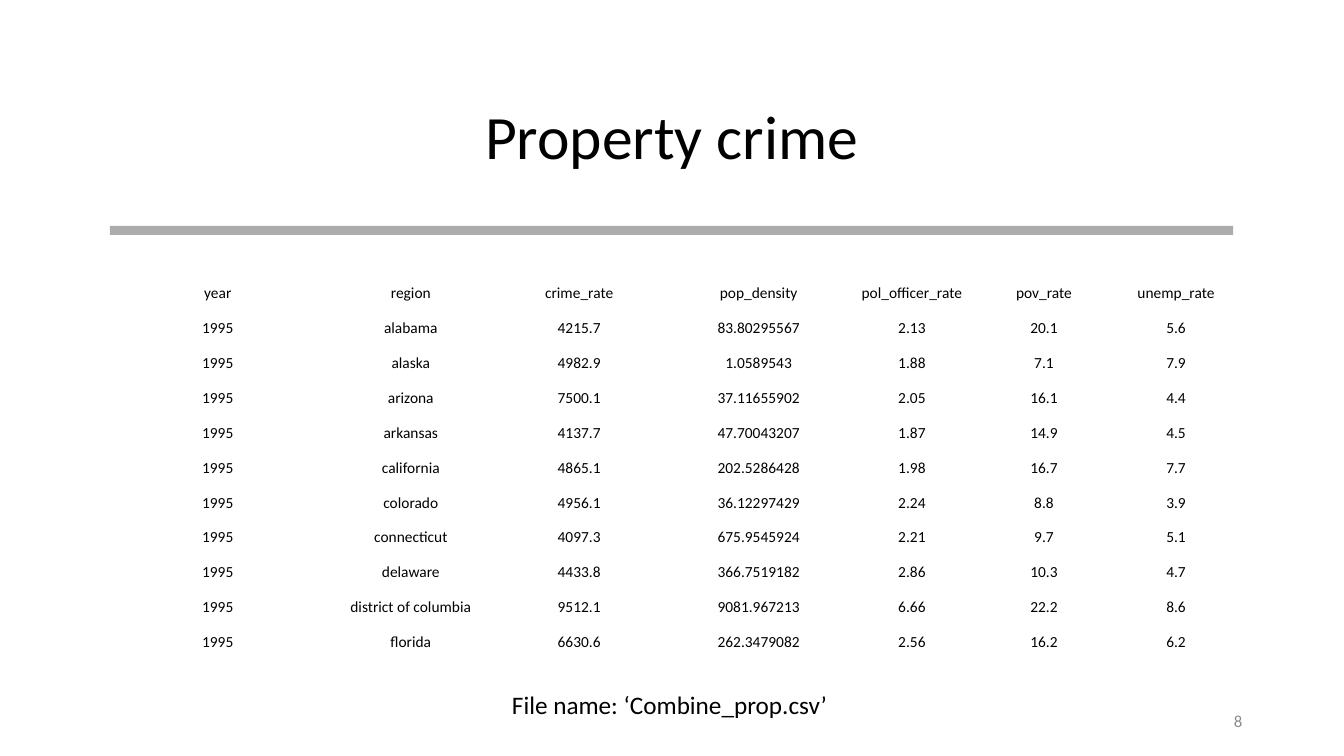
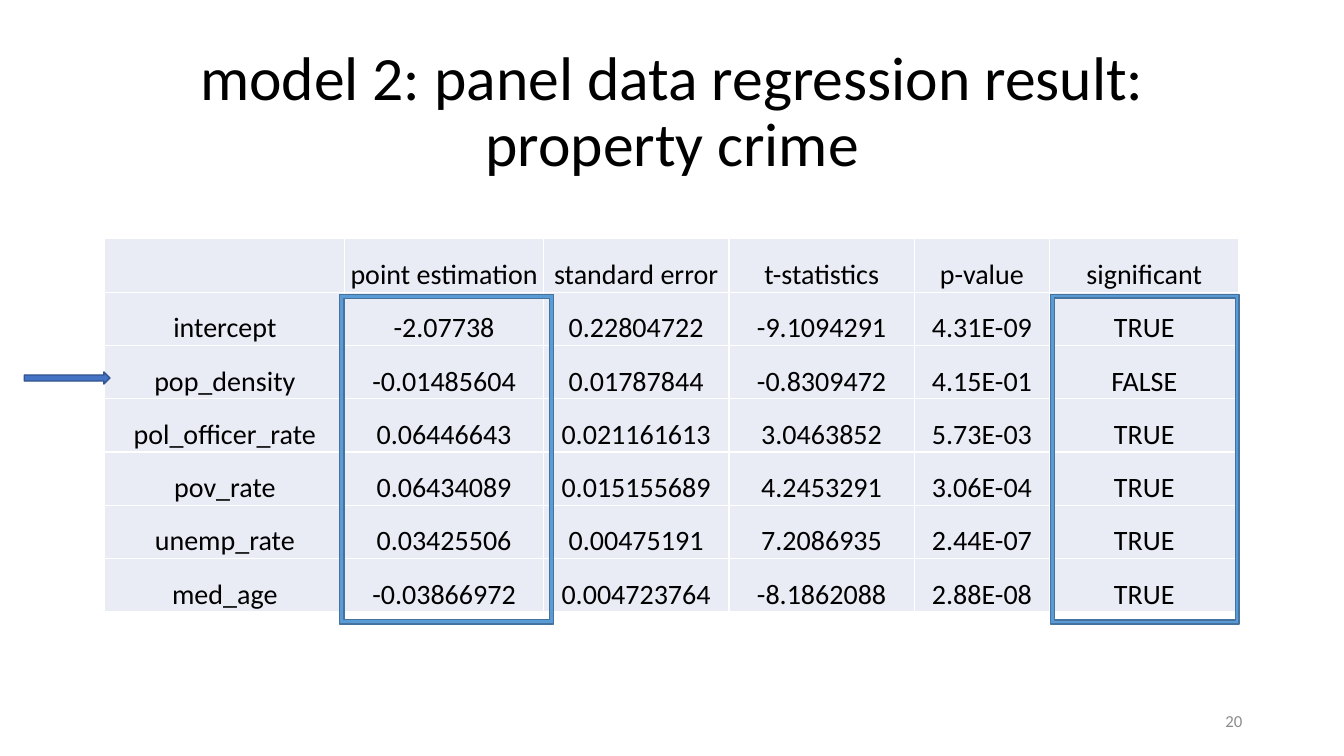
from dataclasses import dataclass
from typing import Any, NamedTuple, Optional

from lxml.etree import SubElement
from pptx import Presentation
from pptx.dml.color import RGBColor
from pptx.enum.shapes import MSO_SHAPE
from pptx.enum.text import MSO_ANCHOR, PP_ALIGN
from pptx.oxml import parse_xml
from pptx.oxml.ns import nsdecls, qn
from pptx.slide import Slide
from pptx.util import Inches, Pt


@dataclass(frozen=True)
class Theme:
    """Colours, font and type sizes shared by the slides."""
    font: str = "Calibri"
    ink: str = "000000"
    muted: str = "8C8C8C"
    paper: str = "FFFFFF"
    rule: str = "808080"
    cell: str = "E9EBF5"
    frame: str = "5B9BD5"
    frame_edge: str = "43739E"
    arrow: str = "4472C4"
    arrow_edge: str = "325491"
    title_size: int = 44
    result_size: int = 20
    caption_size: int = 18
    number_size: int = 12
    data_size: int = 11
    plain_table: str = "{2D5ABB26-0587-4C30-8999-92F81FD0307C}"


class Area(NamedTuple):
    """A rectangle in inches."""
    left: float
    top: float
    width: float
    height: float

    def lengths(self) -> list[int]:
        """Return the rectangle as slide lengths."""
        return [Inches(value) for value in self]


@dataclass(frozen=True)
class TextStyle:
    """How the text of a box or cell is set."""
    size: int
    color: str
    align: PP_ALIGN = PP_ALIGN.CENTER
    spacing: Optional[float] = None


@dataclass(frozen=True)
class Grid:
    """A table: its place, column widths, rows of text and look."""
    area: Area
    columns: list[float]
    rows: list[list[str]]
    style: TextStyle
    fill: Optional[str] = None
    border: Optional[str] = None


@dataclass(frozen=True)
class Marker:
    """A filled preset shape."""
    kind: MSO_SHAPE
    area: Area
    fill: str
    edge: Optional[str] = None
    adjust: Optional[float] = None
    alpha: Optional[int] = None


THEME = Theme()
TITLE = TextStyle(THEME.title_size, THEME.ink, spacing=0.9)
CAPTION = TextStyle(THEME.caption_size, THEME.ink, PP_ALIGN.LEFT)
NUMBER = TextStyle(THEME.number_size, THEME.muted, PP_ALIGN.RIGHT)
NUMBER_AREA = Area(9.42, 6.95, 3, 0.4)

CRIME_ROWS = [line.split(",") for line in """\
year,region,crime_rate,pop_density,pol_officer_rate,pov_rate,unemp_rate
1995,alabama,4215.7,83.80295567,2.13,20.1,5.6
1995,alaska,4982.9,1.0589543,1.88,7.1,7.9
1995,arizona,7500.1,37.11655902,2.05,16.1,4.4
1995,arkansas,4137.7,47.70043207,1.87,14.9,4.5
1995,california,4865.1,202.5286428,1.98,16.7,7.7
1995,colorado,4956.1,36.12297429,2.24,8.8,3.9
1995,connecticut,4097.3,675.9545924,2.21,9.7,5.1
1995,delaware,4433.8,366.7519182,2.86,10.3,4.7
1995,district of columbia,9512.1,9081.967213,6.66,22.2,8.6
1995,florida,6630.6,262.3479082,2.56,16.2,6.2""".splitlines()]

RESULT_ROWS = [line.split(",") for line in """\
,point estimation,standard error,t-statistics,p-value,significant
intercept,-2.07738,0.22804722,-9.1094291,4.31E-09,TRUE
pop_density,-0.01485604,0.01787844,-0.8309472,4.15E-01,FALSE
pol_officer_rate,0.06446643,0.021161613,3.0463852,5.73E-03,TRUE
pov_rate,0.06434089,0.015155689,4.2453291,3.06E-04,TRUE
unemp_rate,0.03425506,0.00475191,7.2086935,2.44E-07,TRUE
med_age,-0.03866972,0.004723764,-8.1862088,2.88E-08,TRUE""".splitlines()]


def set_format(target: Any, values: dict[str, Any]) -> None:
    """Set each named attribute on the target."""
    for name, value in values.items():
        setattr(target, name, value)


def write_text(frame: Any, text: str, style: TextStyle) -> None:
    """Write one styled paragraph into a text frame."""
    para = frame.paragraphs[0]
    para.text = text
    set_format(para, {"alignment": style.align, "line_spacing": style.spacing})
    for span in para.runs:
        set_format(span.font, {"name": THEME.font, "size": Pt(style.size)})
        span.font.color.rgb = RGBColor.from_string(style.color)


def add_text(page: Slide, area: Area, text: str, style: TextStyle,
             anchor: MSO_ANCHOR = MSO_ANCHOR.MIDDLE, wrap: bool = True) -> None:
    """Add a text box."""
    box = page.shapes.add_textbox(*area.lengths())
    set_format(box.text_frame, {"word_wrap": wrap, "vertical_anchor": anchor})
    write_text(box.text_frame, text, style)


def add_borders(cell: Any, color: str) -> None:
    """Draw a one-point line on every side of a cell."""
    properties = cell._tc.get_or_add_tcPr()
    for index, side in enumerate(("lnL", "lnR", "lnT", "lnB")):
        properties.insert(index, parse_xml(
            f'<a:{side} {nsdecls("a")} w="{Pt(1)}"><a:solidFill>'
            f'<a:srgbClr val="{color}"/></a:solidFill></a:{side}>'))


def add_grid(page: Slide, grid: Grid) -> None:
    """Add a table with equal row heights."""
    holder = page.shapes.add_table(
        len(grid.rows), len(grid.columns), *grid.area.lengths())
    table = holder.table
    set_format(table, {"first_row": False, "horz_banding": False})
    table._tbl.tblPr.find(qn("a:tableStyleId")).text = THEME.plain_table
    for column, width in zip(table.columns, grid.columns):
        column.width = Inches(width)
    inset = Inches(0.01)
    layout = {"margin_left": inset, "margin_right": inset, "margin_top": inset,
              "margin_bottom": 0, "vertical_anchor": MSO_ANCHOR.BOTTOM}
    for row, texts in zip(table.rows, grid.rows):
        row.height = Inches(grid.area.height / len(grid.rows))
        for cell, text in zip(row.cells, texts):
            set_format(cell, layout)
            write_text(cell.text_frame, text, grid.style)
            if grid.fill:
                cell.fill.solid()
                cell.fill.fore_color.rgb = RGBColor.from_string(grid.fill)
            else:
                cell.fill.background()
            if grid.border:
                add_borders(cell, grid.border)


def add_marker(page: Slide, marker: Marker) -> None:
    """Add a filled shape, with an edge if it has one."""
    shape = page.shapes.add_shape(marker.kind, *marker.area.lengths())
    shape.shadow.inherit = False
    shape.fill.solid()
    shape.fill.fore_color.rgb = RGBColor.from_string(marker.fill)
    if marker.adjust is not None:
        shape.adjustments[0] = marker.adjust
    if marker.alpha is not None:
        color = shape._element.spPr.find(f'.//{qn("a:srgbClr")}')
        SubElement(color, qn("a:alpha")).set("val", str(marker.alpha * 1000))
    if marker.edge:
        shape.line.color.rgb = RGBColor.from_string(marker.edge)
        shape.line.width = Pt(1)
    else:
        shape.line.fill.background()


def add_page(deck: Any, title: str, title_area: Area, number: int,
             grid: Grid, markers: list[Marker]) -> Slide:
    """Add a slide with its title, table, markers and number."""
    page = deck.slides.add_slide(deck.slide_layouts[6])
    add_grid(page, grid)
    add_text(page, title_area, title, TITLE)
    for marker in markers:
        add_marker(page, marker)
    add_text(page, NUMBER_AREA, str(number), NUMBER)
    return page


def result_frame(left: float, width: float) -> Marker:
    """Return a frame around one column of results."""
    return Marker(MSO_SHAPE.FRAME, Area(left, 2.92, width, 3.27),
                  THEME.frame, THEME.frame_edge, adjust=0.02)


def main() -> None:
    """Build and save the deck."""
    deck = Presentation()
    set_format(deck, {"slide_width": Inches(13.33), "slide_height": Inches(7.5)})

    crime_grid = Grid(Area(1.09, 2.66, 11.14, 3.81),
                      [2.14, 1.69, 1.65, 1.91, 1.13, 1.49, 1.13], CRIME_ROWS,
                      TextStyle(THEME.data_size, THEME.ink))
    title_rule = Marker(MSO_SHAPE.RECTANGLE, Area(1.09, 2.24, 11.14, 0.09),
                        THEME.rule, alpha=65)
    crime_page = add_page(deck, "Property crime", Area(0.95, 0.66, 11.43, 1.45),
                          8, crime_grid, [title_rule])
    add_text(crime_page, Area(4.98, 6.79, 3.37, 0.4),
             "File name: ‘Combine_prop.csv’", CAPTION, MSO_ANCHOR.TOP, wrap=False)

    result_grid = Grid(Area(1.04, 2.37, 11.24, 3.7),
                       [2.38, 1.97, 1.84, 1.84, 1.34, 1.88], RESULT_ROWS,
                       TextStyle(THEME.result_size, THEME.ink),
                       THEME.cell, THEME.paper)
    density_arrow = Marker(MSO_SHAPE.RIGHT_ARROW, Area(0.24, 3.69, 0.85, 0.12),
                           THEME.arrow, THEME.arrow_edge)
    add_page(deck, "model 2: panel data regression result:\vproperty crime",
             Area(0.92, 0.4, 11.5, 1.45), 20, result_grid,
             [result_frame(3.37, 2.12), result_frame(10.42, 1.87), density_arrow])

    deck.save("out.pptx")


main()
